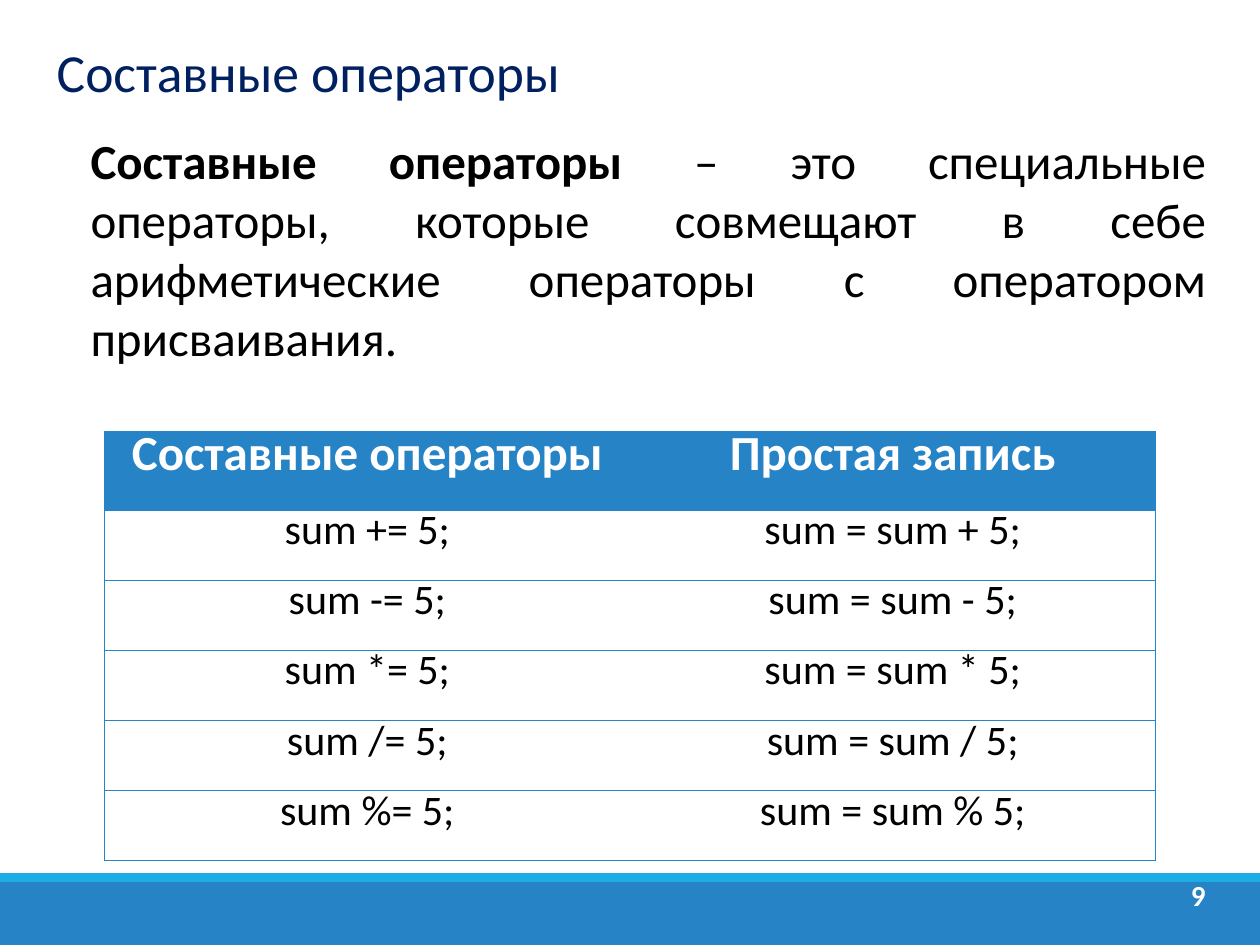
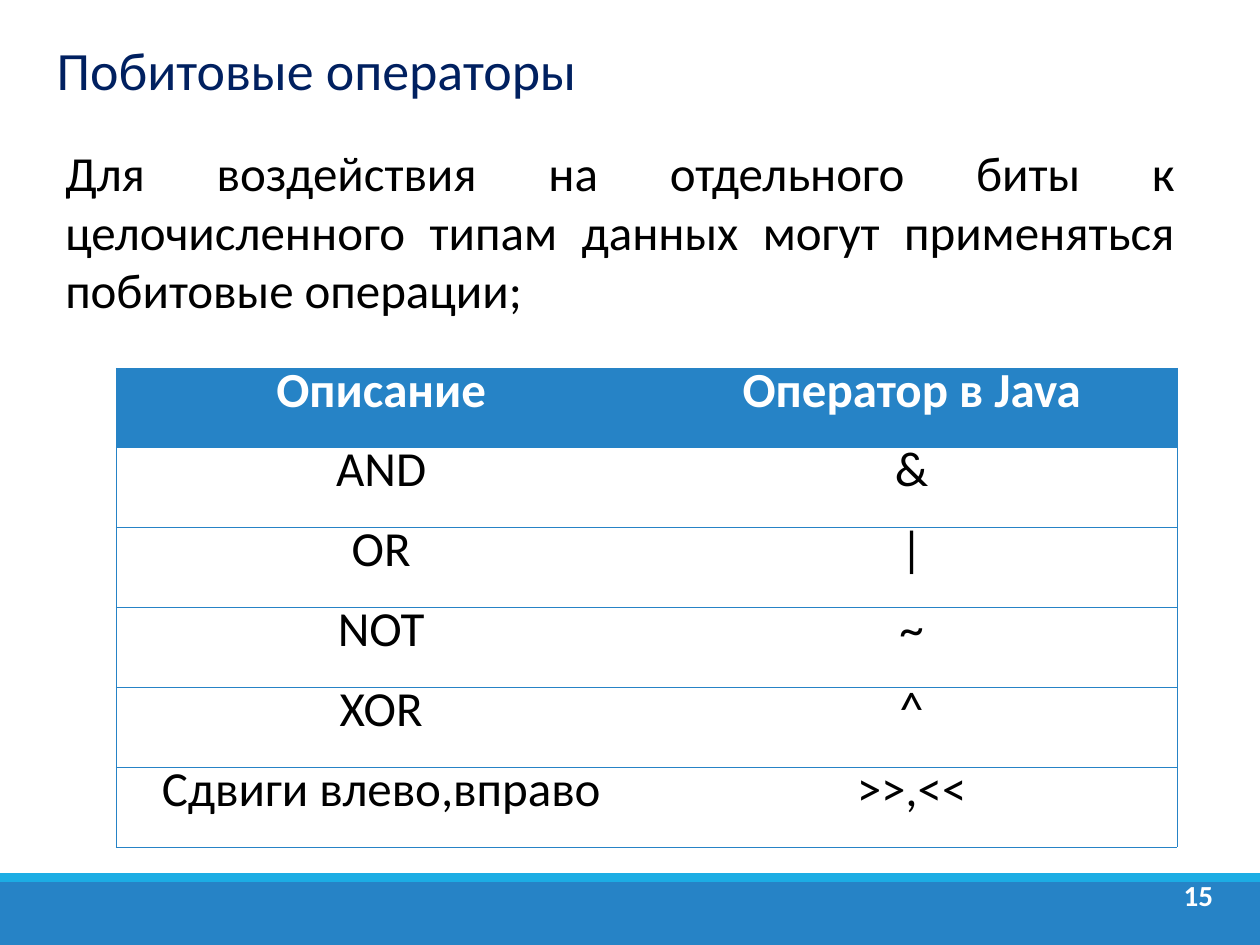
from lxml.etree import SubElement
from pptx import Presentation
from pptx.dml.color import RGBColor
from pptx.enum.shapes import MSO_SHAPE
from pptx.enum.text import MSO_ANCHOR, MSO_AUTO_SIZE, PP_ALIGN
from pptx.oxml.ns import qn
from pptx.util import Inches, Pt

BLUE = RGBColor(0x26, 0x83, 0xC6)
CYAN = RGBColor(0x1C, 0xAD, 0xE4)
NAVY = RGBColor(0x00, 0x20, 0x60)
BLACK = RGBColor(0, 0, 0)
WHITE = RGBColor(255, 255, 255)
FONT = "Calibri"
TITLE_ONLY = 5
TITLE_BOX = (0.35, 0.28, 9, 0.63)
NUMBER_BOX = (9.27, 6.95, 0.48, 0.4)
BANDS = [((0, 7, 10, 0.5), BLUE), ((0, 6.93, 10, 0.07), CYAN)]
HEADER_HEIGHT = 0.63
BORDER_WIDTH = Pt(0.11)


def inches(box):
    return [Inches(length) for length in box]


def add_span(para, text, size, color, bold=False):
    span = para.add_run()
    span.text = text
    span.font.name = FONT
    span.font.size = Pt(size)
    span.font.bold = bold
    span.font.color.rgb = color


def add_title(page, text, size, line_spacing):
    title = page.shapes.title
    title.left, title.top, title.width, title.height = inches(TITLE_BOX)
    frame = title.text_frame
    frame.auto_size = MSO_AUTO_SIZE.NONE
    frame.word_wrap = True
    frame.vertical_anchor = MSO_ANCHOR.MIDDLE
    para = frame.paragraphs[0]
    para.alignment = PP_ALIGN.LEFT
    para.line_spacing = line_spacing
    add_span(para, text, size, NAVY)


def add_text(page, box, alignment):
    frame = page.shapes.add_textbox(*inches(box)).text_frame
    frame.word_wrap = True
    para = frame.paragraphs[0]
    para.alignment = alignment
    return para


def add_footer(page, number):
    for box, color in BANDS:
        band = page.shapes.add_shape(MSO_SHAPE.RECTANGLE, *inches(box))
        band.shadow.inherit = False
        band.fill.solid()
        band.fill.fore_color.rgb = color
        band.line.fill.background()
    para = add_text(page, NUMBER_BOX, PP_ALIGN.CENTER)
    para.line_spacing = 0.9
    add_span(para, str(number), 16.6, WHITE, bold=True)


def add_body(page, box, spans):
    para = add_text(page, box, PP_ALIGN.JUSTIFY)
    for text, bold in spans:
        add_span(para, text, 28, BLACK, bold)


def set_borders(cell, visible_sides):
    properties = cell._tc.get_or_add_tcPr()
    for position, side in enumerate("LRTB"):
        line = properties.makeelement(qn(f"a:ln{side}"), {"w": str(int(BORDER_WIDTH))})
        if side in visible_sides:
            fill = SubElement(line, qn("a:solidFill"))
            SubElement(fill, qn("a:srgbClr"), val=str(BLUE))
        else:
            SubElement(line, qn("a:noFill"))
        properties.insert(position, line)


def add_operator_table(page, box, rows, body_size):
    left, top, width, height = box
    table = page.shapes.add_table(len(rows), 2, *inches(box)).table
    for column in table.columns:
        column.width = Inches(width / 2)
    body_height = (height - HEADER_HEIGHT) / (len(rows) - 1)
    for row_index, texts in enumerate(rows):
        header = row_index == 0
        table.rows[row_index].height = Inches(HEADER_HEIGHT if header else body_height)
        for column_index, text in enumerate(texts):
            cell = table.cell(row_index, column_index)
            if header:
                cell.fill.solid()
                cell.fill.fore_color.rgb = BLUE
            else:
                cell.fill.background()
            set_borders(cell, "LTB" if column_index == 0 else "RTB")
            para = cell.text_frame.paragraphs[0]
            para.alignment = PP_ALIGN.CENTER
            para.line_spacing = 0.69
            add_span(para, text, 28 if header else body_size,
                     WHITE if header else BLACK, bold=header)


def add_operator_page(deck, number, title, title_size, title_spacing,
                      body_box, body, table_box, rows, table_size):
    page = deck.slides.add_slide(deck.slide_layouts[TITLE_ONLY])
    add_footer(page, number)
    add_title(page, title, title_size, title_spacing)
    add_body(page, body_box, body)
    add_operator_table(page, table_box, rows, table_size)


def main():
    deck = Presentation()
    deck.slide_width, deck.slide_height = Inches(10), Inches(7.5)

    compound_rows = [("Составные операторы", "Простая запись")]
    compound_rows += [(f"sum {sign}= 5;", f"sum = sum {sign} 5;") for sign in "+-*/%"]
    add_operator_page(
        deck, 9, "Составные операторы", 30.6, 0.9,
        (0.62, 0.99, 9.05, 2.1),
        [("Составные операторы", True),
         (" – это специальные операторы, которые совмещают в себе "
          "арифметические операторы с оператором присваивания.", False)],
        (0.83, 3.42, 8.34, 3.41), compound_rows, 24)

    bitwise_rows = [
        ("Описание", "Оператор в Java"),
        ("AND", "&"),
        ("OR", "|"),
        ("NOT", "~"),
        ("XOR", "^"),
        ("Сдвиги влево,вправо", ">>,<<"),
    ]
    add_operator_page(
        deck, 15, "Побитовые операторы", 30.8, 0.8,
        (0.42, 1.08, 9, 1.6),
        [("Для воздействия на отдельного биты к целочисленного типам данных "
          "могут применяться побитовые операции;", False)],
        (0.92, 2.92, 8.42, 3.8), bitwise_rows, 28)

    deck.save("out.pptx")


if __name__ == "__main__":
    main()
